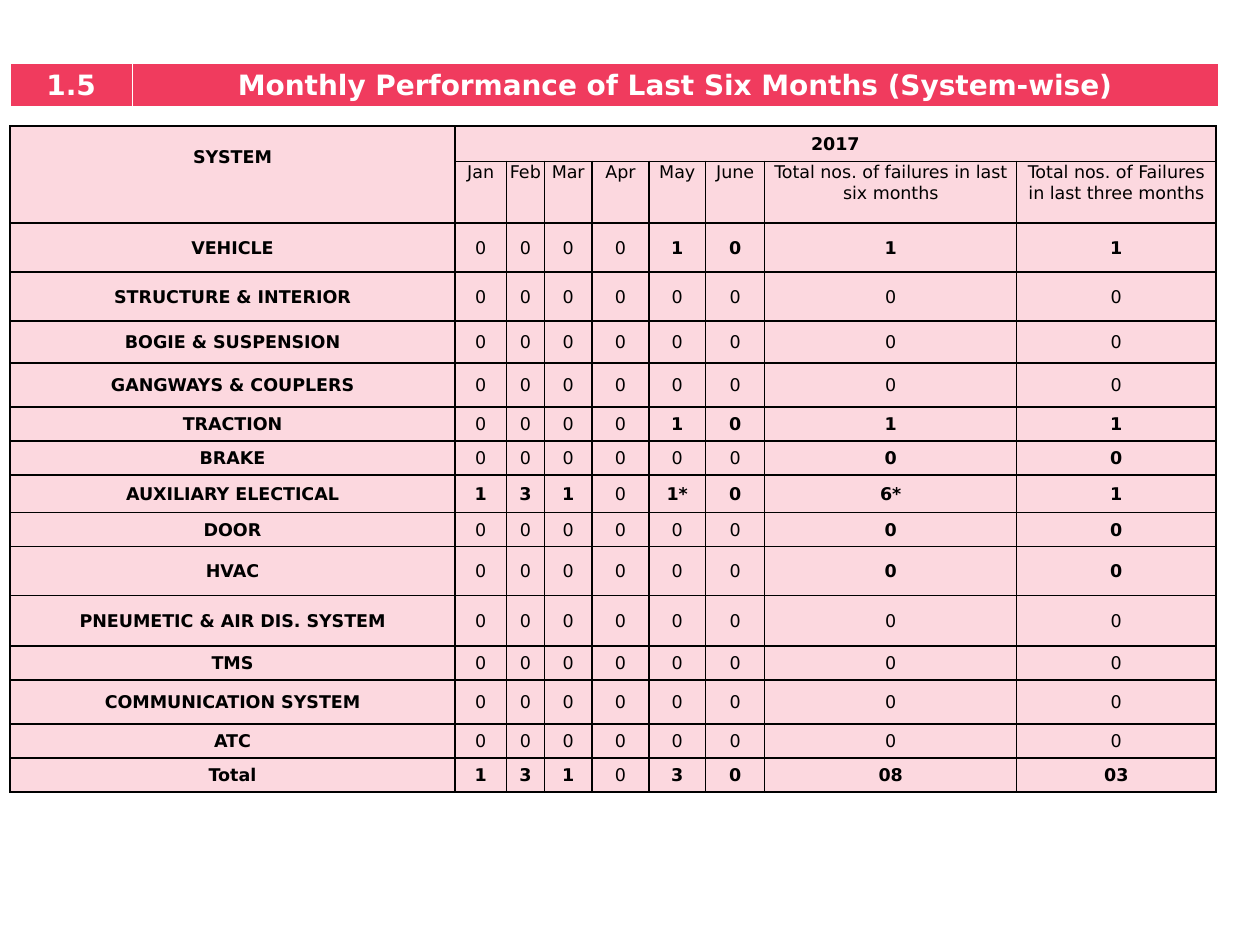
"""Build the slide of monthly failures by system."""
from dataclasses import dataclass

from lxml.etree import SubElement
from pptx import Presentation
from pptx.dml.color import RGBColor
from pptx.enum.text import MSO_ANCHOR, PP_ALIGN
from pptx.oxml.ns import qn
from pptx.util import Inches, Pt

FONT = "DejaVu Sans"
COLORS = {"banner": "F03B5E", "cell": "FCD8DF", "white": "FFFFFF", "black": "000000"}
THIN = {"lnL": 1, "lnR": 1, "lnT": 1, "lnB": 1}


@dataclass(frozen=True)
class CellStyle:
    size: float
    text: str
    fill: str
    line: str
    borders: dict
    margins: tuple


@dataclass(frozen=True)
class SystemRow:
    name: str
    height: float
    values: str = "0 0 0 0 0 0 0 0"
    bold: tuple = ()


BANNER = CellStyle(16, "white", "banner", "white", {**THIN, "lnB": 3}, (0.1, 0.05, 0.1, 0.05))
BODY = CellStyle(10, "black", "cell", "black", THIN, (0.01, 0.01, 0.01, 0))

TITLES = ("1.5", "Monthly Performance of Last Six Months (System-wise)")
HEADERS = ("Jan", "Feb", "Mar", "Apr", "May", "June",
           "Total nos. of failures in last six months",
           "Total nos. of Failures in last three months")
WIDTHS = (3.53, 0.41, 0.3, 0.38, 0.45, 0.45, 0.47, 2, 1.58)
HEADER_HEIGHTS = (0.28, 0.49)
FROM_MAY = (4, 5, 6, 7)
TOTALS = (6, 7)
ALL_BUT_APRIL = (0, 1, 2, 4, 5, 6, 7)
SYSTEMS = (
    SystemRow("VEHICLE", 0.39, "0 0 0 0 1 0 1 1", FROM_MAY),
    SystemRow("STRUCTURE & INTERIOR", 0.39),
    SystemRow("BOGIE & SUSPENSION", 0.33),
    SystemRow("GANGWAYS & COUPLERS", 0.35),
    SystemRow("TRACTION", 0.27, "0 0 0 0 1 0 1 1", FROM_MAY),
    SystemRow("BRAKE", 0.27, bold=TOTALS),
    SystemRow("AUXILIARY ELECTICAL", 0.3, "1 3 1 0 1* 0 6* 1", ALL_BUT_APRIL),
    SystemRow("DOOR", 0.27, bold=TOTALS),
    SystemRow("HVAC", 0.39, bold=TOTALS),
    SystemRow("PNEUMETIC & AIR DIS. SYSTEM", 0.4),
    SystemRow("TMS", 0.27),
    SystemRow("COMMUNICATION SYSTEM", 0.35),
    SystemRow("ATC", 0.27),
    SystemRow("Total", 0.27, "1 3 1 0 3 0 08 03", ALL_BUT_APRIL),
)


def rgb(name: str) -> RGBColor:
    """Return a palette colour."""
    return RGBColor.from_string(COLORS[name])


def add_grid(slide, top: float, widths: tuple, heights: tuple, style: CellStyle):
    """Add a table with every cell filled and bordered."""
    frame = slide.shapes.add_table(len(heights), len(widths), Inches(0.08), Inches(top),
                                   Inches(sum(widths)), Inches(sum(heights)))
    table = frame.table
    table.first_row = table.horz_banding = False
    for col, width in zip(table.columns, widths):
        col.width = Inches(width)
    for row, height in zip(table.rows, heights):
        row.height = Inches(height)
    for cell in table.iter_cells():
        style_cell(cell, style)
    return table


def style_cell(cell, style: CellStyle) -> None:
    """Set the margins, borders and fill of a cell."""
    (cell.margin_left, cell.margin_top,
     cell.margin_right, cell.margin_bottom) = map(Inches, style.margins)
    tc_pr = cell._tc.get_or_add_tcPr()
    for side, width in style.borders.items():
        ln = SubElement(tc_pr, qn(f"a:{side}"), w=str(Pt(width)))
        fill = SubElement(ln, qn("a:solidFill"))
        SubElement(fill, qn("a:srgbClr"), val=COLORS[style.line])
    cell.fill.solid()
    cell.fill.fore_color.rgb = rgb(style.fill)


def write(cell, text: str, style: CellStyle, bold: bool = True,
          anchor: MSO_ANCHOR = MSO_ANCHOR.MIDDLE) -> None:
    """Write centred text in a cell."""
    cell.vertical_anchor = anchor
    p = cell.text_frame.paragraphs[0]
    p.alignment = PP_ALIGN.CENTER
    r = p.add_run()
    r.text = text
    r.font.name = FONT
    r.font.size = Pt(style.size)
    r.font.bold = bold
    r.font.color.rgb = rgb(style.text)


def add_banner(slide) -> None:
    """Add the numbered heading band."""
    table = add_grid(slide, 0.5, (0.97, 8.62), (0.36,), BANNER)
    for col, title in enumerate(TITLES):
        write(table.cell(0, col), title, BANNER, anchor=MSO_ANCHOR.TOP)


def add_failures(slide) -> None:
    """Add the table of failures."""
    heights = HEADER_HEIGHTS + tuple(s.height for s in SYSTEMS)
    table = add_grid(slide, 1, WIDTHS, heights, BODY)
    system, year = table.cell(0, 0), table.cell(0, 1)
    system.merge(table.cell(1, 0))
    year.merge(table.cell(0, len(HEADERS)))
    write(system, "SYSTEM", BODY, anchor=MSO_ANCHOR.TOP)
    system.margin_top = Inches(0.17)
    write(year, "2017", BODY)
    for col, header in enumerate(HEADERS, 1):
        write(table.cell(1, col), header, BODY, False, MSO_ANCHOR.TOP)
    for row, s in enumerate(SYSTEMS, len(HEADER_HEIGHTS)):
        write(table.cell(row, 0), s.name, BODY)
        for i, value in enumerate(s.values.split()):
            write(table.cell(row, i + 1), value, BODY, i in s.bold)


def main() -> None:
    """Build and save the presentation."""
    prs = Presentation()
    prs.slide_width, prs.slide_height = Inches(10), Inches(7.5)
    slide = prs.slides.add_slide(prs.slide_layouts[6])
    add_banner(slide)
    add_failures(slide)
    prs.save("out.pptx")


if __name__ == "__main__":
    main()
